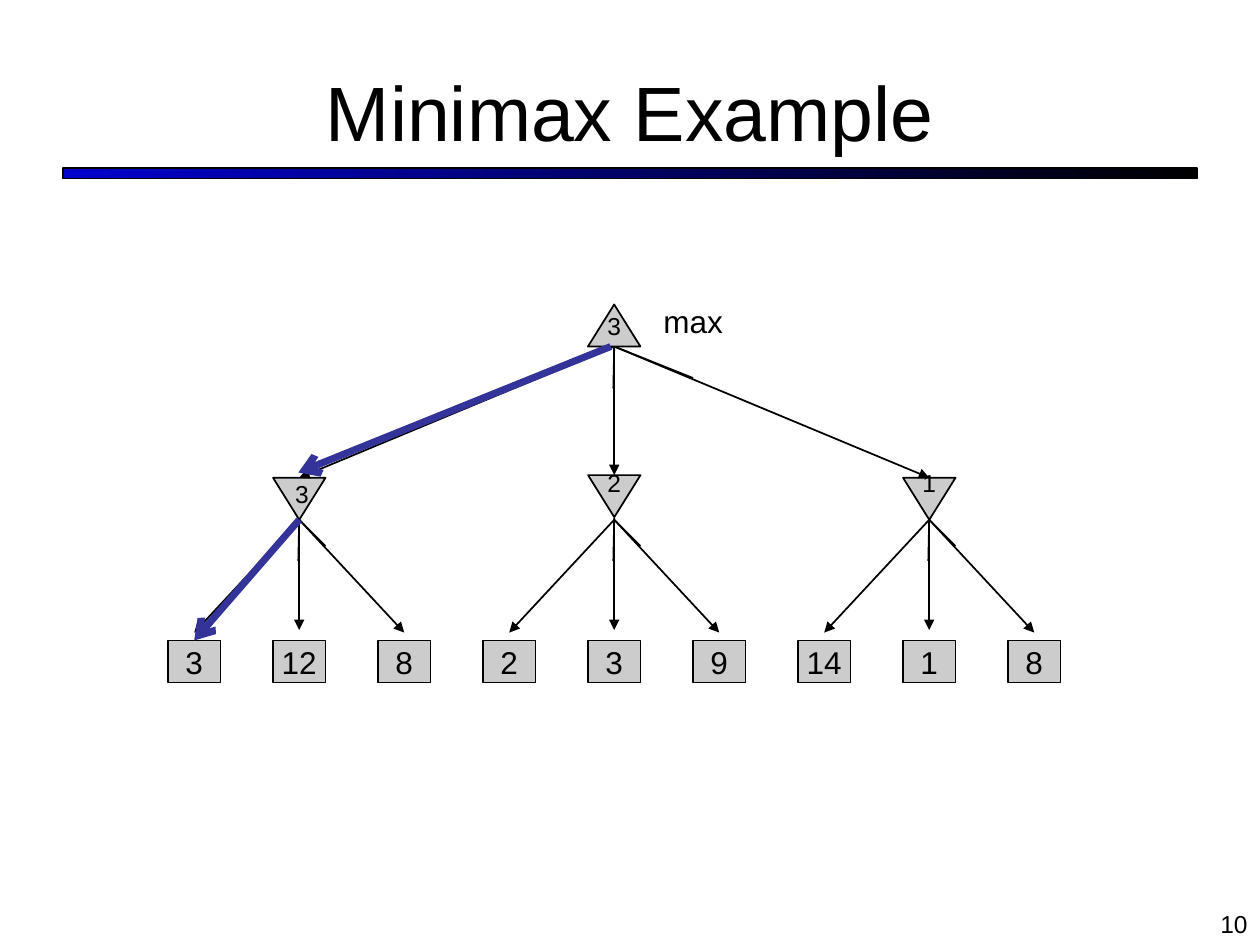
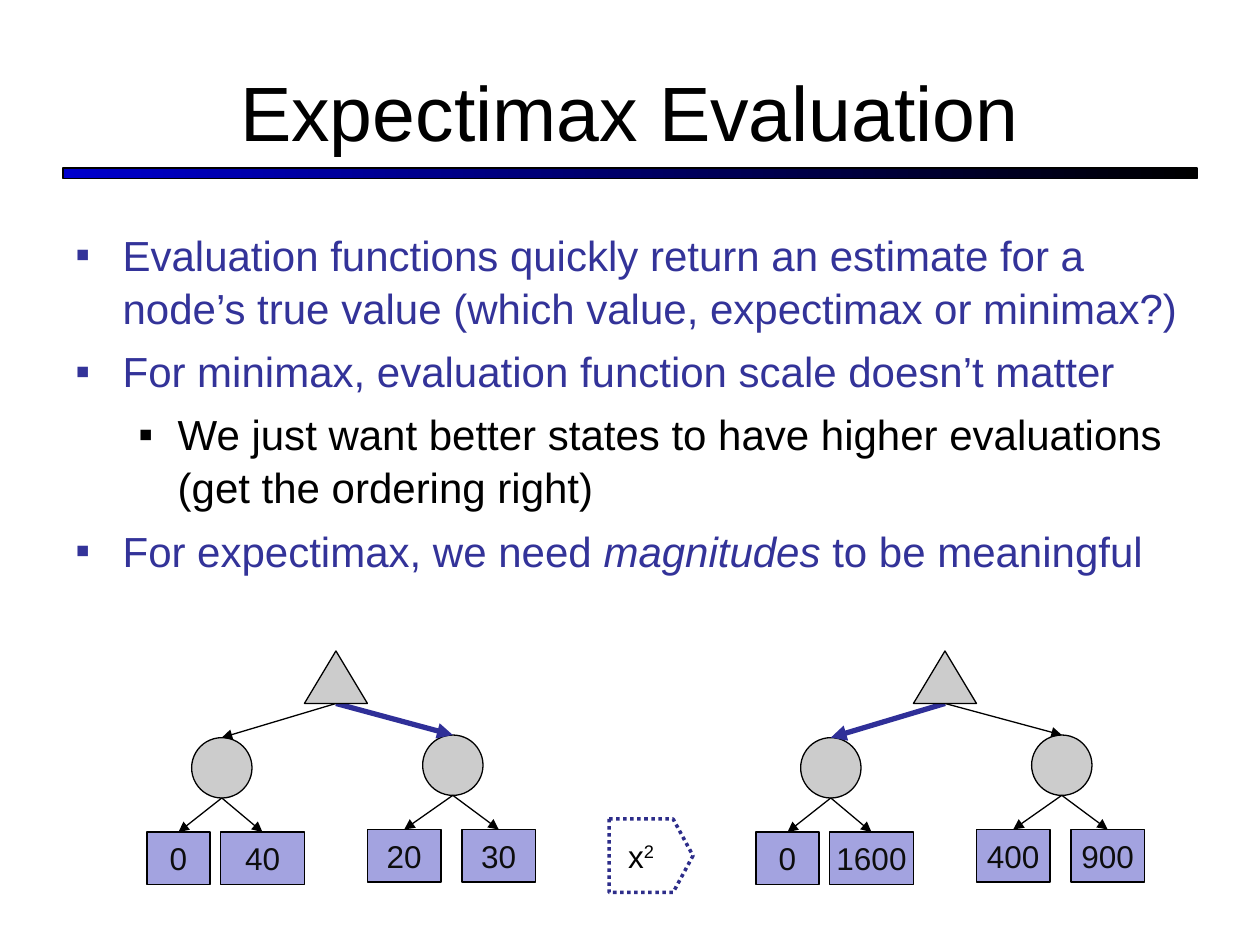
from dataclasses import dataclass

from lxml import etree
from pptx import Presentation
from pptx.dml.color import RGBColor
from pptx.enum.dml import MSO_LINE
from pptx.enum.shapes import MSO_CONNECTOR, MSO_SHAPE
from pptx.enum.text import MSO_ANCHOR, PP_ALIGN
from pptx.oxml.ns import qn
from pptx.util import Pt

RECT, OVAL = MSO_SHAPE.RECTANGLE, MSO_SHAPE.OVAL
PEAK, ARROW = MSO_SHAPE.ISOSCELES_TRIANGLE, MSO_SHAPE.RIGHT_ARROW
LINE, DOTS = MSO_CONNECTOR.STRAIGHT, MSO_LINE.ROUND_DOT
LEFT, MID, RIGHT = PP_ALIGN.LEFT, PP_ALIGN.CENTER, PP_ALIGN.RIGHT
CENTER, TOP = MSO_ANCHOR.MIDDLE, MSO_ANCHOR.TOP

FONT = "Arial"
BLACK, WHITE, GREY = "000000", "FFFFFF", "CCCCCC"
BLUE, BAR, PATH = "333399", "0000CC", "2F2F98"
LILAC, INK, NAVY = "A3A3E0", "0D0D0D", "2D2D8A"
TITLE_ONLY = 5


@dataclass
class Box:
    left: float
    top: float
    width: float
    height: float

    def place(self) -> tuple:
        return Pt(self.left), Pt(self.top), Pt(self.width), Pt(self.height)

    @property
    def mid(self) -> float:
        return self.left + self.width / 2


@dataclass
class Edge:
    start: tuple
    end: tuple
    color: str = BLACK
    width: float = 1
    head: str = "triangle"


@dataclass
class Branch:
    mid: float
    top: float
    mark: str
    shift: float
    drop: float
    leaves: tuple


@dataclass
class Chance:
    left: float
    top: float
    leaf_top: float
    leaves: tuple


@dataclass
class Point:
    words: tuple
    color: str = BLUE
    level: int = 0


def tint(code: str) -> RGBColor:
    return RGBColor.from_string(code)


def add_run(para, text: str, size: float, color: str = BLACK):
    run = para.add_run()
    run.text = text
    run.font.name, run.font.size = FONT, Pt(size)
    run.font.color.rgb = tint(color)
    return run


def add_shape(slide, kind, box: Box, fill: str, line: str = BLACK, width: float = 0.75):
    shape = slide.shapes.add_shape(kind, *box.place())
    shape.shadow.inherit = False
    shape.fill.solid()
    shape.fill.fore_color.rgb = tint(fill)
    shape.line.color.rgb = tint(line)
    shape.line.width = Pt(width)
    return shape


def add_leaf(slide, box: Box, text: str, fill: str, color: str) -> None:
    frame = add_shape(slide, RECT, box, fill).text_frame
    frame.word_wrap = False
    frame.vertical_anchor = CENTER
    frame.paragraphs[0].alignment = MID
    add_run(frame.paragraphs[0], text, 18, color)


def add_text(slide, box: Box, text: str, size: float, align) -> None:
    frame = slide.shapes.add_textbox(*box.place()).text_frame
    frame.word_wrap = True
    frame.vertical_anchor = TOP
    frame.paragraphs[0].alignment = align
    add_run(frame.paragraphs[0], text, size)


def add_edge(slide, edge: Edge) -> None:
    ends = [Pt(v) for v in (*edge.start, *edge.end)]
    link = slide.shapes.add_connector(LINE, *ends)
    link.line.color.rgb = tint(edge.color)
    link.line.width = Pt(edge.width)
    props = link._element.spPr
    if edge.head:
        etree.SubElement(props.get_or_add_ln(), qn("a:tailEnd"), type=edge.head)
    etree.SubElement(props, qn("a:effectLst"))


def add_page(deck, title: str):
    slide = deck.slides.add_slide(deck.slide_layouts[TITLE_ONLY])
    bar = add_shape(slide, RECT, Box(36, 96, 648, 6), BAR)
    bar.fill.gradient()
    bar.fill.gradient_angle = 0
    for stop, code in zip(bar.fill.gradient_stops, (BAR, BLACK)):
        stop.color.rgb = tint(code)
    head = slide.shapes.title
    head.left, head.top, head.width, head.height = Box(36, 18, 648, 90).place()
    frame = head.text_frame
    frame.vertical_anchor = CENTER
    frame.paragraphs[0].alignment = MID
    add_run(frame.paragraphs[0], title, 44)
    return slide


def add_points(slide, box: Box, points: list) -> None:
    frame = slide.shapes.add_textbox(*box.place()).text_frame
    frame.word_wrap = True
    for i, point in enumerate(points):
        para = frame.add_paragraph() if i else frame.paragraphs[0]
        para.level = point.level
        para.space_before = Pt(6)
        para.line_spacing = 1.05
        props = para._p.get_or_add_pPr()
        margin, indent = ((27, -27), (58.5, -22.5))[point.level]
        props.set("marL", str(Pt(margin)))
        props.set("indent", str(Pt(indent)))
        color = etree.SubElement(props, qn("a:buClr"))
        etree.SubElement(color, qn("a:srgbClr"), val=point.color)
        etree.SubElement(props, qn("a:buFont"), typeface=FONT)
        etree.SubElement(props, qn("a:buChar"), char="▪")
        for j, text in enumerate(point.words):
            run = add_run(para, text, 24, point.color)
            run.font.italic = j % 2 == 1


def draw_branch(slide, branch: Branch, root: tuple) -> None:
    mid, foot = branch.mid, (branch.mid, 297)
    node = add_shape(slide, PEAK, Box(mid - 15, branch.top, 30, 24), GREY, width=1)
    node.rotation = 180
    add_edge(slide, Edge(root, (mid, branch.top)))
    for i, text in enumerate(branch.leaves):
        spot = mid + 60 * (i - 1)
        add_edge(slide, Edge(foot, (spot, 360 if i == 1 else 361.5)))
        add_leaf(slide, Box(spot - 15, 366, 30, 24), text, GREY, BLACK)
    add_edge(slide, Edge((mid, 296), (mid - 0.5, 320.5), head=""))
    add_edge(slide, Edge(foot, (mid + 15, 312), head=""))
    label = Box(mid - 15 + branch.shift, branch.drop, 30, 24)
    add_text(slide, label, branch.mark, 14, MID)


def draw_minimax(deck) -> None:
    slide = add_page(deck, "Minimax Example")
    add_text(slide, Box(552, 516, 168, 24), "10", 14, RIGHT)
    root = (351, 198)
    for branch in (
        Branch(171, 273, "3", 1.5, 270, ("3", "12", "8")),
        Branch(351, 271.5, "2", 0, 264, ("2", "3", "9")),
        Branch(531, 273, "1", 0, 264, ("14", "1", "8")),
    ):
        draw_branch(slide, branch, root)
    for end in ((350.5, 222), (396, 216)):
        add_edge(slide, Edge(root, end, head=""))
    add_shape(slide, PEAK, Box(336, 174, 30, 24), GREY, width=1)
    add_text(slide, Box(336, 174, 30, 24), "3", 14, MID)
    add_text(slide, Box(372, 169, 60, 29), "max", 18, LEFT)
    add_edge(slide, Edge((349, 198), (170.5, 270), BLUE, 4, "arrow"))
    add_edge(slide, Edge((171, 297), (111, 366), BLUE, 4, "arrow"))


def draw_tree(slide, shift: float, values: tuple, best: int) -> None:
    nodes = (
        Chance(109.5, 421.5, 475.5, ((84, 36), (126, 48))),
        Chance(241.5, 420, 474, ((210, 42), (264, 42))),
    )
    root = Box(174 + shift, 372, 36, 30)
    for i, (node, texts) in enumerate(zip(nodes, values)):
        ball = Box(node.left + shift, node.top, 34.5, 34.5)
        add_shape(slide, OVAL, ball, GREY)
        for (left, width), text in zip(node.leaves, texts):
            leaf = Box(left + shift, node.leaf_top, width, 30)
            add_leaf(slide, leaf, text, LILAC, INK)
            foot = (ball.mid, ball.top + ball.height)
            add_edge(slide, Edge(foot, (leaf.mid, leaf.top), width=0.75))
        color, width = (PATH, 3) if i == best else (BLACK, 0.75)
        add_edge(slide, Edge((root.mid, 402), (ball.mid, ball.top), color, width))
    add_shape(slide, PEAK, root, GREY)


def draw_expect(deck) -> None:
    slide = add_page(deck, "Expectimax Evaluation")
    add_points(slide, Box(36, 126, 648, 252), [
        Point(("Evaluation functions quickly return an estimate for a node’s "
               "true value (which value, expectimax or minimax?)",)),
        Point(("For minimax, evaluation function scale doesn’t matter",)),
        Point(("We just want better states to have higher evaluations "
               "(get the ordering right)",), BLACK, 1),
        Point(("For expectimax, we need ", "magnitudes", " to be meaningful")),
    ])
    draw_tree(slide, 0, (("0", "40"), ("20", "30")), 1)
    draw_tree(slide, 348, (("0", "1600"), ("400", "900")), 0)
    square = add_shape(slide, ARROW, Box(348, 468, 48, 42), WHITE, NAVY, 2)
    square.line.dash_style = DOTS
    square.adjustments[0], square.adjustments[1] = 1, 0.27
    frame = square.text_frame
    frame.word_wrap = True
    frame.vertical_anchor = CENTER
    para = frame.paragraphs[0]
    para.alignment = MID
    add_run(para, "x", 18)
    power = add_run(para, "2", 18)
    power.font._element.set("baseline", "30000")


def main() -> None:
    deck = Presentation()
    deck.slide_width, deck.slide_height = Pt(720), Pt(540)
    draw_minimax(deck)
    draw_expect(deck)
    deck.save("out.pptx")


if __name__ == "__main__":
    main()
